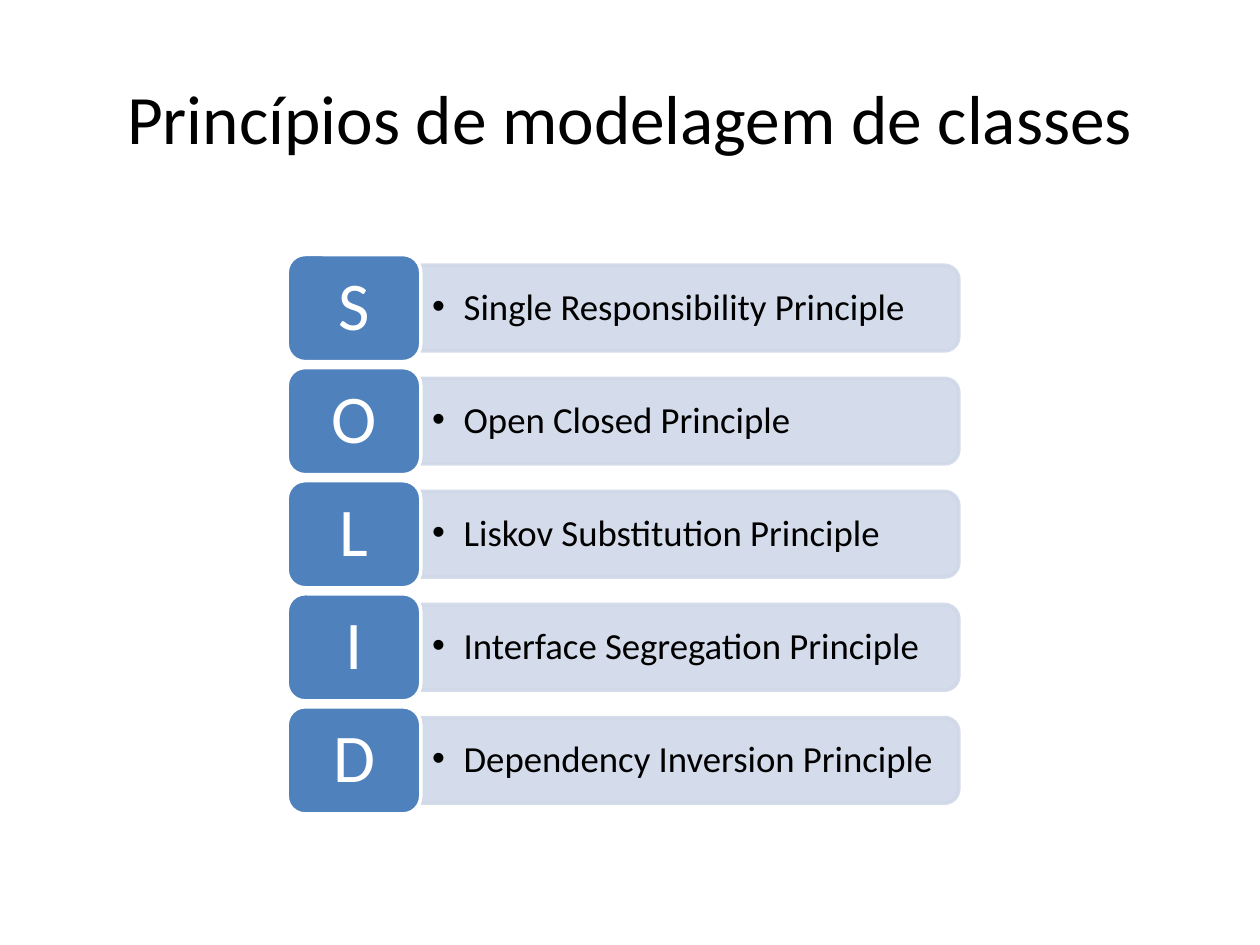
from lxml.etree import SubElement
from pptx import Presentation
from pptx.dml.color import RGBColor
from pptx.enum.shapes import MSO_SHAPE
from pptx.enum.text import MSO_ANCHOR, PP_ALIGN
from pptx.oxml.ns import qn
from pptx.util import Inches, Pt

TITLE = "Princípios de modelagem de classes"
PRINCIPLES = [
    ("S", "Single Responsibility Principle"),
    ("O", "Open Closed Principle"),
    ("L", "Liskov Substitution Principle"),
    ("I", "Interface Segregation Principle"),
    ("D", "Dependency Inversion Principle"),
]

FONT = "Calibri"
BLACK = RGBColor(0x00, 0x00, 0x00)
WHITE = RGBColor(0xFF, 0xFF, 0xFF)
BLUE = RGBColor(0x4F, 0x81, 0xBD)
PALE_BLUE = RGBColor(0xD0, 0xD8, 0xE8)

TOP, LAST_TOP = 2.02, 5.61
PITCH = (LAST_TOP - TOP) / (len(PRINCIPLES) - 1)
TILE_LEFT, TILE_W, TILE_H = 2.28, 1.06, 0.85
BAR_LEFT, BAR_W, BAR_H = TILE_LEFT + TILE_W, 4.27, 0.68
TILE_PAD = 0.04
TEXT_W, TEXT_H = 4.23, 0.62


def add_run(p, text, size, color):
    r = p.add_run()
    r.text = text
    r.font.name = FONT
    r.font.size = Pt(size)
    r.font.color.rgb = color


def add_box(shapes, kind, left, top, width, height, fill, line):
    sp = shapes.add_shape(kind, Inches(left), Inches(top), Inches(width), Inches(height))
    sp.shadow.inherit = False
    sp.fill.solid()
    sp.fill.fore_color.rgb = fill
    sp.line.color.rgb = line
    sp.line.width = Pt(2)
    return sp


def add_label(shapes, left, top, width, height, inset_x, inset_y, text, size, color):
    """Add a vertically centred text box and return its paragraph."""
    tf = shapes.add_textbox(Inches(left), Inches(top), Inches(width), Inches(height)).text_frame
    tf.word_wrap = True
    tf.vertical_anchor = MSO_ANCHOR.MIDDLE
    tf.margin_left = tf.margin_right = Inches(inset_x)
    tf.margin_top = tf.margin_bottom = Inches(inset_y)
    p = tf.paragraphs[0]
    p.line_spacing = 0.9
    add_run(p, text, size, color)
    return p


def make_translucent(sp, percent):
    """Set the opacity of the shape's fill and line."""
    for color in sp.fill._xPr.iter(qn("a:srgbClr")):
        SubElement(color, qn("a:alpha")).set("val", str(percent * 1000))


def add_bullet(p, indent):
    pPr = p._p.get_or_add_pPr()
    pPr.set("lvl", "1")
    pPr.set("marL", str(Inches(indent)))
    pPr.set("indent", str(-Inches(indent)))
    SubElement(pPr, qn("a:buFont")).set("typeface", "Arial")
    SubElement(pPr, qn("a:buChar")).set("char", "•")


def add_principle(shapes, top, letter, name):
    middle = top + TILE_H / 2
    # The bar stands upright and is turned so its rounded end faces right.
    bar = add_box(shapes, MSO_SHAPE.ROUND_2_SAME_RECTANGLE,
                  BAR_LEFT + (BAR_W - BAR_H) / 2, middle - BAR_W / 2,
                  BAR_H, BAR_W, PALE_BLUE, PALE_BLUE)
    bar.rotation = 90
    make_translucent(bar, 90)
    p = add_label(shapes, BAR_LEFT, middle - TEXT_H / 2, TEXT_W, TEXT_H,
                  0.09, 0.04, name, 21, BLACK)
    add_bullet(p, 0.25)

    add_box(shapes, MSO_SHAPE.ROUNDED_RECTANGLE, TILE_LEFT, top, TILE_W, TILE_H, BLUE, WHITE)
    p = add_label(shapes, TILE_LEFT + TILE_PAD, top + TILE_PAD,
                  TILE_W - 2 * TILE_PAD, TILE_H - 2 * TILE_PAD,
                  0.16, 0.08, letter, 39, WHITE)
    p.alignment = PP_ALIGN.CENTER


def main():
    prs = Presentation()
    prs.slide_width, prs.slide_height = Inches(10), Inches(7.5)
    s = prs.slides.add_slide(prs.slide_layouts[5])

    title = s.shapes.title
    title.left, title.top = Inches(0.5), Inches(0.3)
    title.width, title.height = Inches(9), Inches(1.25)
    tf = title.text_frame
    tf.vertical_anchor = MSO_ANCHOR.MIDDLE
    p = tf.paragraphs[0]
    p.alignment = PP_ALIGN.CENTER
    add_run(p, TITLE, 39.6, BLACK)

    group = s.shapes.add_group_shape()
    for i, (letter, name) in enumerate(PRINCIPLES):
        add_principle(group.shapes, TOP + i * PITCH, letter, name)

    prs.save("out.pptx")


if __name__ == "__main__":
    main()
